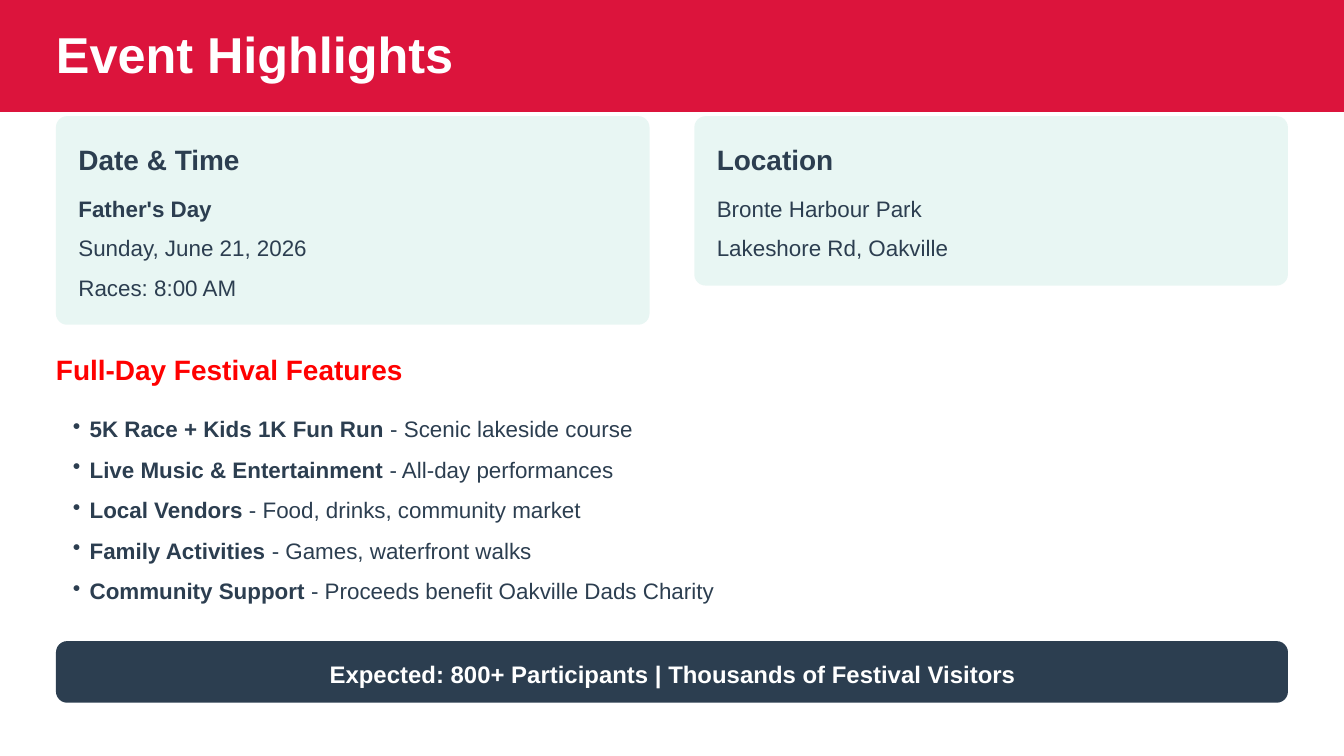
from dataclasses import dataclass

from lxml.etree import SubElement
from pptx import Presentation
from pptx.dml.color import RGBColor as RGB
from pptx.enum.shapes import MSO_SHAPE as SHAPE
from pptx.enum.text import PP_ALIGN as ALIGN
from pptx.oxml.ns import qn
from pptx.util import Emu, Pt

PX = 9525


@dataclass(frozen=True)
class Theme:
    font: str = "Arial"
    crimson: str = "DC143C"
    red: str = "FF0000"
    mint: str = "E8F6F3"
    navy: str = "2C3E50"
    white: str = "FFFFFF"
    title: float = 27
    heading: float = 15
    body: float = 12
    banner: float = 12.8


class SlideBuilder:
    """Hold the theme and current slide, and draw each kind of element."""

    def __init__(self, prs, theme):
        self.theme = theme
        self.s = prs.slides.add_slide(prs.slide_layouts[6])

    def box(self, at, fill, radius=0):
        kind = SHAPE.ROUNDED_RECTANGLE if radius else SHAPE.RECTANGLE
        sp = self.s.shapes.add_shape(kind, *(Emu(v * PX) for v in at))
        if radius:
            sp.adjustments[0] = radius / min(at[2:])
        sp.shadow.inherit = False
        sp.fill.solid()
        sp.fill.fore_color.rgb = RGB.from_string(fill)
        sp.line.fill.background()

    def frame(self, at, left=0):
        tf = self.s.shapes.add_textbox(*(Emu(v * PX) for v in at)).text_frame
        fmt = {"margin_left": Emu(left * PX), "margin_top": 0, "margin_right": 0,
               "margin_bottom": 0, "word_wrap": True}
        for name, value in fmt.items():
            setattr(tf, name, value)
        return tf

    def fill_paragraph(self, p, runs, size, color, **fmt):
        for name, value in fmt.items():
            setattr(p, name, value)
        for text, bold in runs:
            r = p.add_run()
            r.text = text
            font = {"name": self.theme.font, "size": Pt(size), "bold": bold}
            for name, value in font.items():
                setattr(r.font, name, value)
            r.font.color.rgb = RGB.from_string(color)

    def text(self, at, text, size, color, bold=True, **fmt):
        p = self.frame(at).paragraphs[0]
        self.fill_paragraph(p, [(text, bold)], size, color, **fmt)

    def card(self, x, y, heading, lines):
        t = self.theme
        self.box((x, y, 424, 64 + 57 * len(lines) // 2), t.mint, 8)
        self.text((x + 16, y + 15, 200, 28), heading, t.heading, t.navy,
                  line_spacing=Pt(21), space_after=Pt(7.5))
        for i, (line, bold) in enumerate(lines):
            after = Pt(4.5 if i < len(lines) - 1 else 0)
            self.text((x + 16, y + 53 + 57 * i // 2, 400, 22), line, t.body, t.navy,
                      bold, line_spacing=Pt(16.8), space_after=after)

    def bullets(self, at, items, indent=12):
        tf = self.frame(at, indent)
        for i, (lead, detail) in enumerate(items):
            p = tf.add_paragraph() if i else tf.paragraphs[0]
            runs = [(lead, True), (f" - {detail}", False)]
            self.fill_paragraph(p, runs, self.theme.body, self.theme.navy,
                                line_spacing=Pt(18.7), space_after=Pt(3))
            pr = p._p.get_or_add_pPr()
            pr.set("marL", str(indent * PX))
            pr.set("indent", str(-indent * PX))
            SubElement(pr, qn("a:buChar")).set("char", "•")


def main():
    prs = Presentation()
    prs.slide_width, prs.slide_height = Emu(960 * PX), Emu(540 * PX)
    t = Theme()
    b = SlideBuilder(prs, t)

    b.box((0, 0, 960, 80), t.crimson)
    b.text((40, 20, 450, 40), "Event Highlights", t.title, t.white,
           line_spacing=Pt(30))

    b.card(40, 83, "Date & Time", [
        ("Father's Day", True),
        ("Sunday, June 21, 2026", False),
        ("Races: 8:00 AM", False),
    ])
    b.card(496, 83, "Location", [
        ("Bronte Harbour Park", False),
        ("Lakeshore Rd, Oakville", False),
    ])

    b.text((40, 248, 450, 28), "Full-Day Festival Features", t.heading, t.red,
           line_spacing=Pt(21), space_before=Pt(6), space_after=Pt(4.5))
    b.bullets((40, 291, 880, 160), [
        ("5K Race + Kids 1K Fun Run", "Scenic lakeside course"),
        ("Live Music & Entertainment", "All-day performances"),
        ("Local Vendors", "Food, drinks, community market"),
        ("Family Activities", "Games, waterfront walks"),
        ("Community Support", "Proceeds benefit Oakville Dads Charity"),
    ])

    b.box((40, 458, 880, 44), t.navy, 8)
    b.text((52, 468, 857, 24),
           "Expected: 800+ Participants | Thousands of Festival Visitors",
           t.banner, t.white, line_spacing=Pt(17.9), alignment=ALIGN.CENTER)

    prs.save("out.pptx")


if __name__ == "__main__":
    main()
